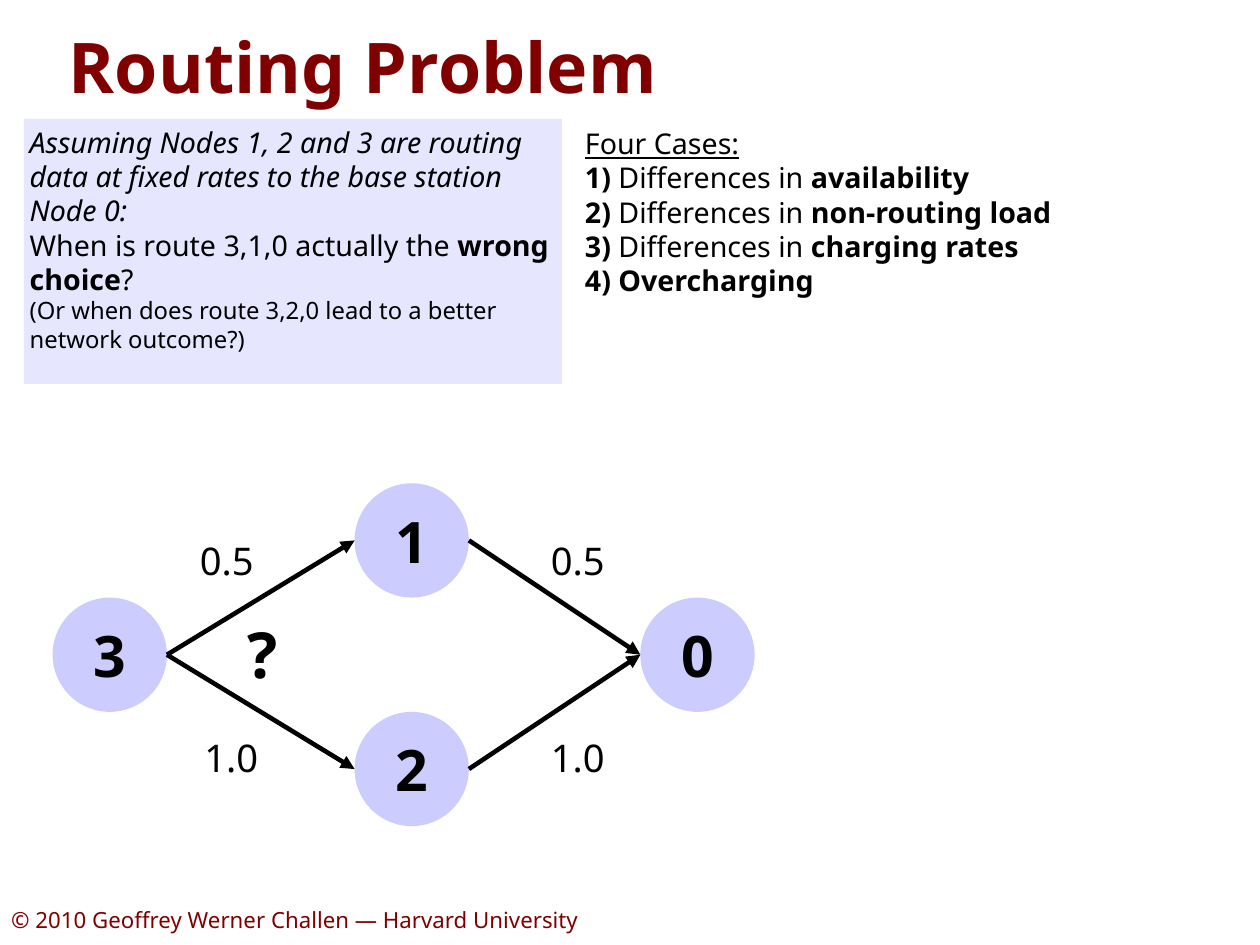
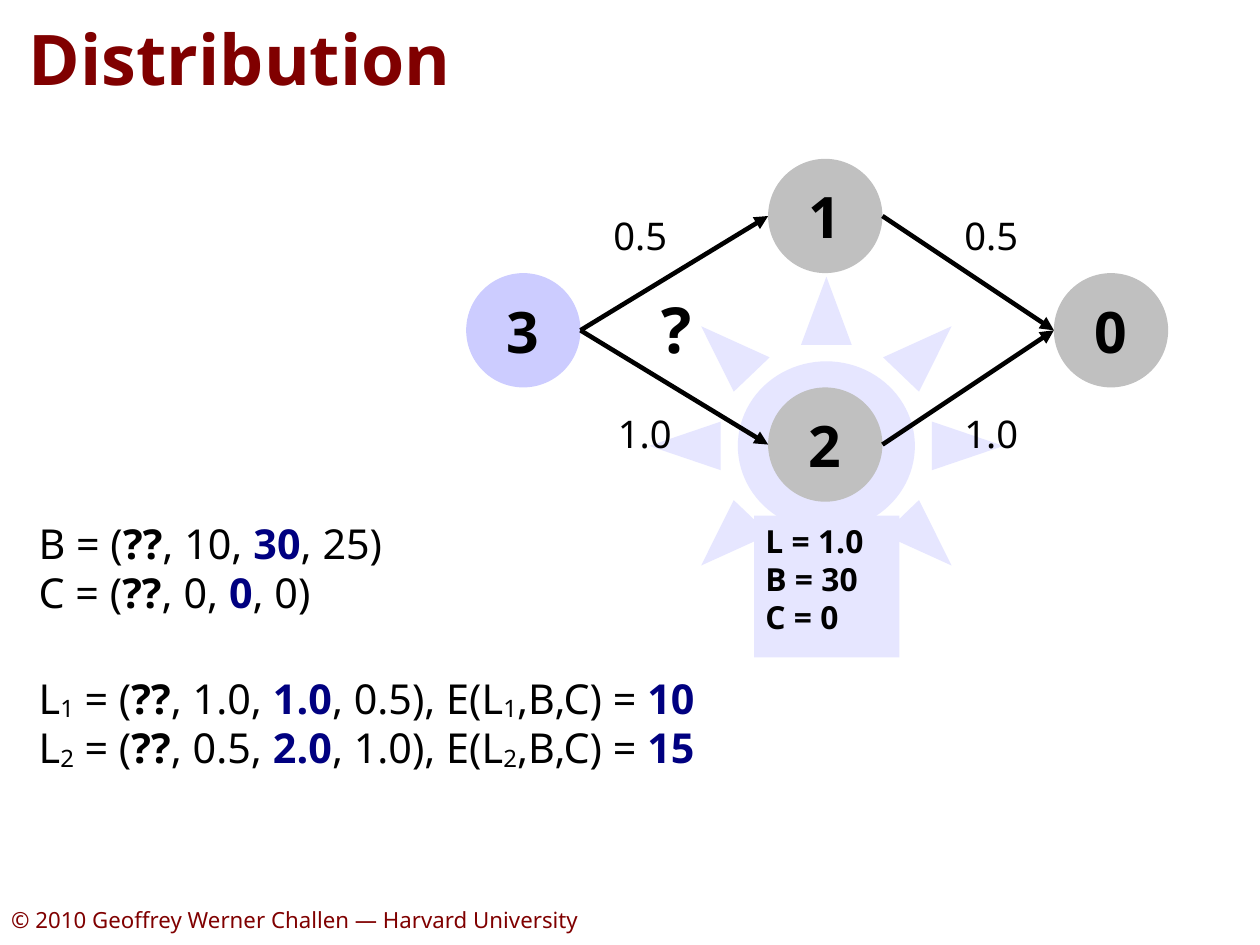
import pptx
import pptx.dml.color
import pptx.enum.shapes
import pptx.enum.text
import pptx.oxml
import pptx.oxml.ns
import pptx.util
from pptx.util import Cm

RGBColor = pptx.dml.color.RGBColor
SHAPE = pptx.enum.shapes.MSO_SHAPE
ANCHOR = pptx.enum.text.MSO_ANCHOR
ALIGN = pptx.enum.text.PP_ALIGN

# Shared style
FONT = "Noto Sans"
BLACK = RGBColor(0x00, 0x00, 0x00)
MAROON = RGBColor(0x80, 0x00, 0x00)
NAVY = RGBColor(0x00, 0x00, 0x80)
LILAC = RGBColor(0xCC, 0xCC, 0xFF)
PALE_LILAC = RGBColor(0xE6, 0xE6, 0xFF)
GRAY = RGBColor(0xC0, 0xC0, 0xC0)
INSETS = (0.25, 0.13, 0.25, 0.13)
FOOTER = "© 2010 Geoffrey Werner Challen — Harvard University"

# Routing network: offsets in cm from the top left of node 3
NODE_SIZE = 2.54
NODES = {"1": (6.71, -2.54), "2": (6.71, 2.54), "0": (13.06, 0), "3": (0, 0)}
ROUTES = [("1", "0"), ("2", "0"), ("3", "2"), ("3", "1")]
LOADS = [("0.5", 3.02, -1.47), ("0.5", 10.82, -1.47),
         ("1.0", 10.82, 2.92), ("1.0", 3.12, 2.92)]


# Text
def add_span(para, text, marks, size, color):
    """Marks: b bold, i italic, u underline, n navy, s subscript."""
    span = para.add_run()
    span.text = text
    font = span.font
    font.name = FONT
    font.size = pptx.util.Pt(size)
    font.bold = "b" in marks
    font.italic = "i" in marks
    font.underline = "u" in marks
    font.color.rgb = NAVY if "n" in marks else color
    if "s" in marks:
        span.font._element.set("baseline", "-8000")


def write(box, lines, size, color=BLACK, align=ALIGN.LEFT, anchor=ANCHOR.TOP,
          insets=INSETS, wrap=True):
    """Each line is a list of (text, marks) spans."""
    frame = box.text_frame
    frame.auto_size = pptx.enum.text.MSO_AUTO_SIZE.NONE
    frame.word_wrap = wrap
    frame.vertical_anchor = anchor
    (frame.margin_left, frame.margin_top,
     frame.margin_right, frame.margin_bottom) = map(Cm, insets)
    for index, spans in enumerate(lines):
        para = frame.add_paragraph() if index else frame.paragraphs[0]
        para.alignment = align
        for text, marks in spans:
            add_span(para, text, marks, size, color)
    return frame


def add_text(page, area, lines, size, **style):
    box = page.shapes.add_textbox(*map(Cm, area))
    return write(box, lines, size, **style)


# Shapes
def add_filled(page, kind, area, fill):
    shape = page.shapes.add_shape(kind, *map(Cm, area))
    shape.shadow.inherit = False
    shape.fill.solid()
    shape.fill.fore_color.rgb = fill
    shape.line.fill.background()
    return shape


def add_arrow(page, start, end):
    arrow = page.shapes.add_connector(
        pptx.enum.shapes.MSO_CONNECTOR.STRAIGHT, *map(Cm, start + end))
    arrow.line.color.rgb = BLACK
    arrow.line.width = pptx.util.Pt(2.89)
    line = arrow.line._get_or_add_ln()
    line.append(pptx.oxml.parse_xml(
        '<a:tailEnd %s type="triangle"/>' % pptx.oxml.ns.nsdecls("a")))
    arrow.element.spPr.append(pptx.oxml.parse_xml(
        "<a:effectLst %s/>" % pptx.oxml.ns.nsdecls("a")))


def add_network(page, left, top, fills):
    places = {name: (left + x, top + y) for name, (x, y) in NODES.items()}
    for name, place in places.items():
        node = add_filled(page, SHAPE.OVAL, place + (NODE_SIZE, NODE_SIZE),
                          fills.get(name, LILAC))
        write(node, [[(name, "b")]], 36, align=ALIGN.CENTER,
              anchor=ANCHOR.MIDDLE)
    for source, target in ROUTES:
        (start_x, start_y), (end_x, end_y) = places[source], places[target]
        add_arrow(page, (start_x + NODE_SIZE, start_y + NODE_SIZE / 2),
                  (end_x, end_y + NODE_SIZE / 2))
    add_text(page, (left + 4.09, top + 0.25, 1.19, 2.18), [[("?", "b")]], 40,
             wrap=False)
    for load, x, y in LOADS:
        add_text(page, (left + x, top + y, 1.83, 1.4), [[(load, "")]], 24,
                 wrap=False)


# Page frame: title and footer
def add_page(deck, title, title_area):
    page = deck.slides.add_slide(deck.slide_layouts[5])
    box = page.shapes.title
    box.left, box.top, box.width, box.height = map(Cm, title_area)
    frame = write(box, [[(title, "b")]], 44, color=MAROON,
                  anchor=ANCHOR.MIDDLE, insets=(0.64, 0, 0, 0))
    frame.paragraphs[0].line_spacing = 1.0
    add_text(page, (0, 19.94, 13.51, 1.04), [[(FOOTER, "")]], 14,
             color=MAROON, anchor=ANCHOR.BOTTOM,
             insets=(0.25, 0.13, 0.25, 0.25), wrap=False)
    return page


def build_problem(deck):
    page = add_page(deck, "Routing Problem", (0.89, 0, 27.11, 2.92))
    add_network(page, 1.17, 13.28, {})

    # Question panel, with a smaller closing remark
    panel = add_filled(page, SHAPE.RECTANGLE, (0.53, 2.64, 11.96, 5.89),
                       PALE_LILAC)
    frame = write(panel, [
        [("Assuming Nodes 1, 2 and 3 are routing data at fixed rates "
          "to the base station Node 0:", "i")],
        [("When is route 3,1,0 actually the ", ""), ("wrong choice", "b"),
         ("?", "")],
    ], 18, insets=(0.13, 0.13, 0.13, 0))
    remark = frame.add_paragraph()
    remark.alignment = ALIGN.LEFT
    add_span(remark, "(Or when does route 3,2,0 lead to a better network "
             "outcome?)", "", 15, BLACK)

    # Cases
    differences = ["availability", "non-routing load", "charging rates"]
    cases = [[(f"{number}) ", "b"), ("Differences in ", ""), (topic, "b")]
             for number, topic in enumerate(differences, 1)]
    add_text(page, (12.75, 2.67, 12.98, 8.03),
             [[("Four Cases:", "u")], *cases, [("4) Overcharging", "b")]], 18)


def vector(first, second, last):
    """Spans of a vector whose third value stands out."""
    return [(" = (", ""), ("??", "b"), (f", {first}, ", ""), (second, "bn"),
            (f", {last})", "")]


def load_line(index, values, outcome):
    return [("L", ""), (index, "s"), *vector(*values), (", E(L", ""),
            (index, "s"), (",B,C) = ", ""), (outcome, "bn")]


def build_distribution(deck):
    page = add_page(deck, "Distribution", (0, 0.13, 28, 2.29))

    # Sun and readings behind node 2
    add_filled(page, SHAPE.SUN, (14.43, 6.15, 7.87, 7.52), PALE_LILAC)
    readings = add_filled(page, SHAPE.RECTANGLE, (16.76, 11.46, 3.23, 3.15),
                          PALE_LILAC)
    write(readings, [[(text, "b")] for text in ("L = 1.0", "B = 30", "C = 0")],
          20)
    add_network(page, 10.36, 6.07, dict.fromkeys("012", GRAY))

    # Vectors
    frame = add_text(page, (0.61, 11.38, 17.83, 6.53), [
        [("B", ""), *vector("10", "30", "25")],
        [("C", ""), *vector("0", "0", "0")],
        load_line("1", ("1.0", "1.0", "0.5"), "10"),
        load_line("2", ("0.5", "2.0", "1.0"), "15"),
    ], 26)
    frame.paragraphs[2].space_before = pptx.util.Pt(35.4)


def main():
    deck = pptx.Presentation()
    deck.slide_width, deck.slide_height = Cm(28), Cm(21)
    build_problem(deck)
    build_distribution(deck)
    deck.save("out.pptx")


if __name__ == "__main__":
    main()
